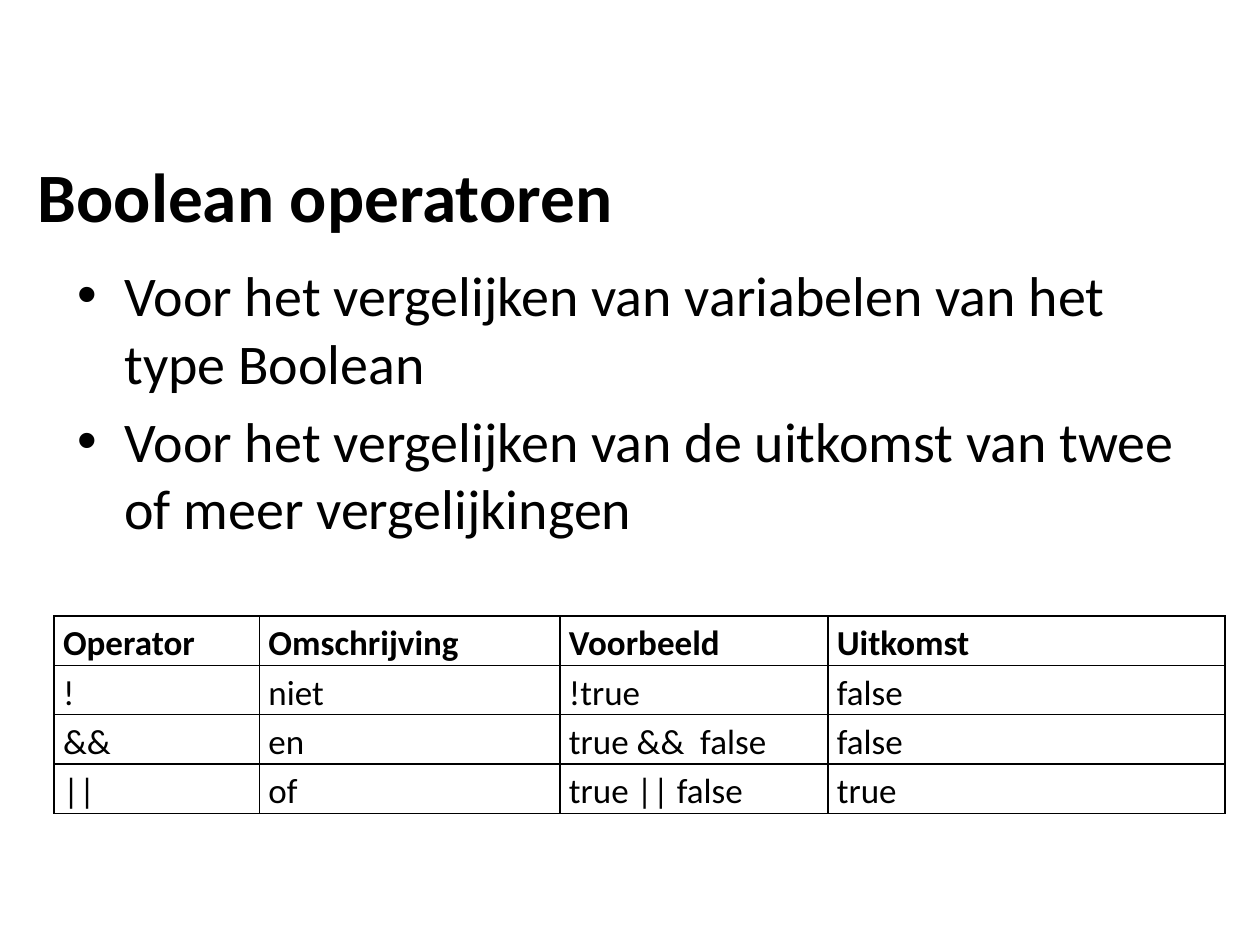
"""Build a slide that explains the Boolean operators with a list and a table."""
from dataclasses import dataclass

from lxml.etree import SubElement
from pptx import Presentation
from pptx.dml.color import RGBColor
from pptx.enum.text import MSO_ANCHOR as Anchor, MSO_AUTO_SIZE as AutoSize, PP_ALIGN as Align
from pptx.oxml.ns import qn
from pptx.util import Cm, Pt


@dataclass(frozen=True)
class Theme:
    font: str = "Calibri"
    ink: str = "000000"
    title_size: float = 39.6
    body_size: float = 32
    table_size: float = 20
    border: float = 1


THEME = Theme()
TITLE = "Boolean operatoren"
BULLETS = [
    "Voor het vergelijken van variabelen van het type Boolean",
    "Voor het vergelijken van de uitkomst van twee of meer vergelijkingen",
]
OPERATORS = [
    ["Operator", "Omschrijving", "Voorbeeld", "Uitkomst"],
    ["!", "niet", "!true", "false"],
    ["&&", "en", "true &&  false", "false"],
    ["||", "of", "true || false", "true"],
]
COLUMN_WIDTHS = [4.14, 6.06, 5.4, 8.0]
ROW_HEIGHT = 0.98


def set_attributes(target, values):
    for name, value in values.items():
        setattr(target, name, value)


def write_paragraph(paragraph, text, size, bold=False, **layout):
    run = paragraph.add_run()
    run.text = text
    set_attributes(run.font, {"name": THEME.font, "size": Pt(size), "bold": bold})
    run.font.color.rgb = RGBColor.from_string(THEME.ink)
    set_attributes(paragraph, {"alignment": Align.LEFT, **layout})


def fill_placeholder(shape, box, anchor, lines, size, bold=False):
    left, top, width, height = map(Cm, box)
    set_attributes(shape, {"left": left, "top": top, "width": width, "height": height})
    frame = shape.text_frame
    set_attributes(frame, {"auto_size": AutoSize.NONE, "vertical_anchor": anchor})
    for index, line in enumerate(lines):
        paragraph = frame.add_paragraph() if index else frame.paragraphs[0]
        write_paragraph(paragraph, line, size, bold)


def add_borders(cell):
    properties = cell._tc.get_or_add_tcPr()
    for side in ("lnL", "lnR", "lnT", "lnB"):
        line = SubElement(properties, qn(f"a:{side}"), w=str(Pt(THEME.border)))
        fill = SubElement(line, qn("a:solidFill"))
        SubElement(fill, qn("a:srgbClr"), val=THEME.ink)


def format_cell(cell, text, bold):
    margins = {"margin_left": Cm(0.18), "margin_right": Cm(0.18),
               "margin_top": 0, "margin_bottom": 0}
    set_attributes(cell, margins)
    add_borders(cell)
    cell.fill.background()
    write_paragraph(cell.text_frame.paragraphs[0], text, THEME.table_size, bold,
                    line_spacing=1.15)


def add_operator_table(slide, left, top):
    frame = slide.shapes.add_table(
        len(OPERATORS), len(COLUMN_WIDTHS), Cm(left), Cm(top),
        Cm(sum(COLUMN_WIDTHS)), Cm(ROW_HEIGHT * len(OPERATORS)))
    table = frame.table
    set_attributes(table, {"first_row": False, "horz_banding": False})
    for column, width in zip(table.columns, COLUMN_WIDTHS):
        column.width = Cm(width)
    for row_index, texts in enumerate(OPERATORS):
        table.rows[row_index].height = Cm(ROW_HEIGHT)
        for column_index, text in enumerate(texts):
            format_cell(table.cell(row_index, column_index), text, row_index == 0)


def main():
    presentation = Presentation()
    set_attributes(presentation, {"slide_width": Cm(25.4), "slide_height": Cm(19.05)})
    slide = presentation.slides.add_slide(presentation.slide_layouts[1])
    fill_placeholder(slide.shapes.title, (0.51, 2.92, 24.4, 2.0), Anchor.MIDDLE,
                     [TITLE], THEME.title_size, bold=True)
    fill_placeholder(slide.placeholders[1], (1.3, 5.13, 22.83, 11.89), Anchor.TOP,
                     BULLETS, THEME.body_size)
    add_operator_table(slide, 1.09, 12.42)
    presentation.save("out.pptx")


if __name__ == "__main__":
    main()
